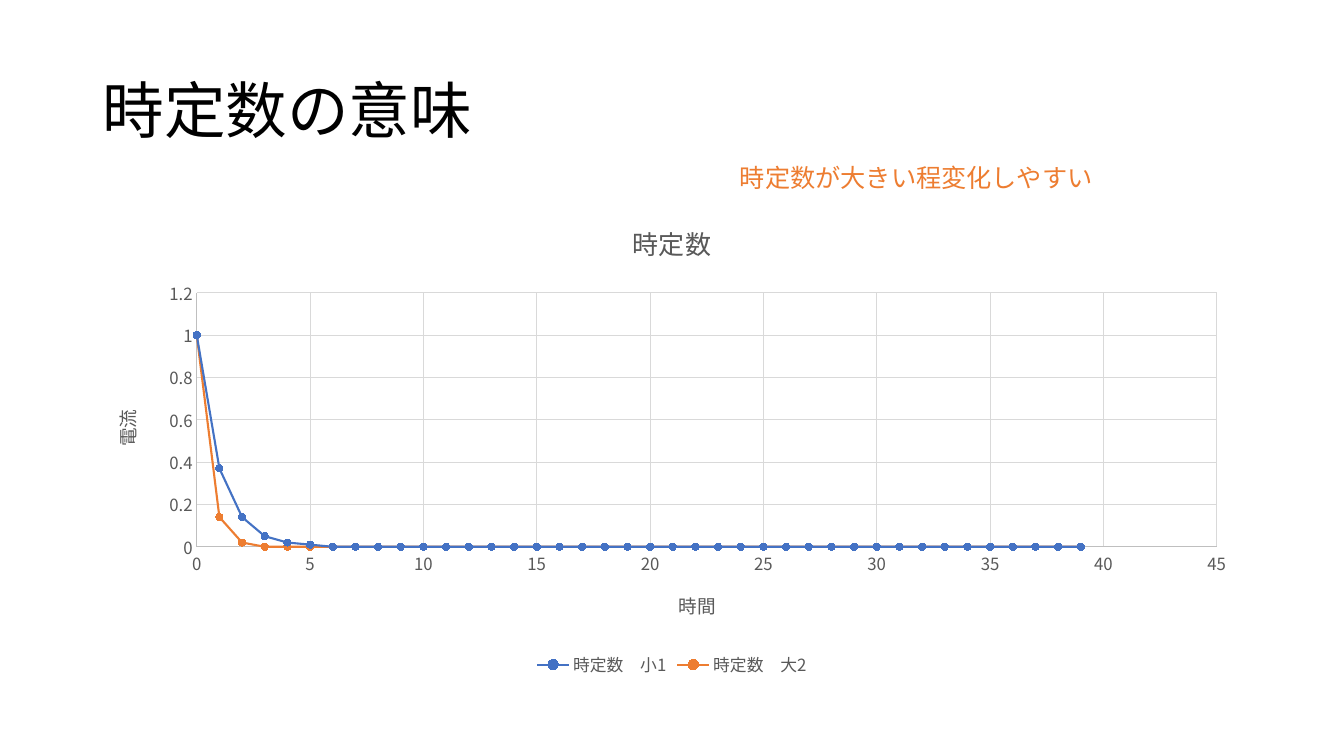
import math
from dataclasses import dataclass

from lxml import etree
from pptx import Presentation
from pptx import util as u
from pptx.chart import data as chart_data
from pptx.dml import color
from pptx.enum import chart as charts
from pptx.enum import text
from pptx.oxml import ns


@dataclass(frozen=True)
class Theme:
    font: str = "Noto Sans CJK JP"
    ink: str = "000000"
    muted: str = "595959"
    axis: str = "BFBFBF"
    grid: str = "D9D9D9"
    blue: str = "4472C4"
    orange: str = "ED7D31"
    title: float = 44
    note: float = 18
    chart_title: float = 18.6
    axis_title: float = 13.3
    label: float = 12


class SlideBuilder:
    COLUMNS, ROWS = 160, 90

    def __init__(self, deck, theme):
        self.theme = theme
        self.deck = deck
        self.page = deck.slides.add_slide(deck.slide_layouts[5])

    def area(self, column, row, columns, rows):
        across = self.deck.slide_width / self.COLUMNS
        down = self.deck.slide_height / self.ROWS
        return [u.Emu(round(n * step)) for n, step in
                zip((column, row, columns, rows), (across, down, across, down))]

    def style(self, font, size, rgb):
        font.size = u.Pt(size)
        font.bold = False
        font.color.rgb = color.RGBColor.from_string(rgb)
        font.name = self.theme.font
        latin = font._element.find(ns.qn("a:latin"))
        east_asian = etree.Element(ns.qn("a:ea"), typeface=self.theme.font)
        latin.addnext(east_asian)

    def stroke(self, line, rgb, width):
        line.color.rgb = color.RGBColor.from_string(rgb)
        line.width = u.Pt(width)

    def title(self, words, *cells):
        box = self.page.shapes.title
        box.left, box.top, box.width, box.height = self.area(*cells)
        frame = box.text_frame
        frame.text = words
        frame.vertical_anchor = text.MSO_ANCHOR.MIDDLE
        para = frame.paragraphs[0]
        para.alignment = text.PP_ALIGN.LEFT
        para.line_spacing = 0.9
        self.style(para.runs[0].font, self.theme.title, self.theme.ink)

    def note(self, words, *cells):
        frame = self.page.shapes.add_textbox(*self.area(*cells)).text_frame
        frame.text = words
        frame.word_wrap = False
        frame.auto_size = text.MSO_AUTO_SIZE.SHAPE_TO_FIT_TEXT
        self.style(frame.paragraphs[0].runs[0].font, self.theme.note, self.theme.orange)

    def caption(self, owner, words, size):
        frame = owner.text_frame
        frame.text = words
        self.style(frame.paragraphs[0].runs[0].font, size, self.theme.muted)
        return frame

    def axis(self, axis, words, maximum, step):
        axis.minimum_scale = 0
        axis.maximum_scale = maximum
        axis.major_unit = step
        axis.major_tick_mark = axis.minor_tick_mark = charts.XL_TICK_MARK.NONE
        axis.has_major_gridlines = True
        self.stroke(axis.major_gridlines.format.line, self.theme.grid, 0.75)
        self.stroke(axis.format.line, self.theme.axis, 0.75)
        axis.tick_labels.number_format = "General"
        axis.tick_labels.number_format_is_linked = False
        self.style(axis.tick_labels.font, self.theme.label, self.theme.muted)
        return self.caption(axis.axis_title, words, self.theme.axis_title)

    def plot_layout(self, chart, **shares):
        plot_area = chart._chartSpace.find(".//" + ns.qn("c:plotArea"))
        layout = plot_area.find(ns.qn("c:layout"))
        if layout is None:
            layout = etree.Element(ns.qn("c:layout"))
            plot_area.insert(0, layout)
        manual = etree.SubElement(layout, ns.qn("c:manualLayout"))
        settings = dict(layoutTarget="inner", xMode="edge", yMode="edge", **shares)
        for name, value in settings.items():
            etree.SubElement(manual, ns.qn("c:" + name), val=str(value))

    def scatter(self, heading, x_words, y_words, curves, times, *cells):
        data = chart_data.XyChartData()
        for name, rate, _ in curves:
            points = data.add_series(name)
            for time in times:
                points.add_data_point(time, round(math.exp(-rate * time), 2))
        chart = self.page.shapes.add_chart(
            charts.XL_CHART_TYPE.XY_SCATTER_SMOOTH, *self.area(*cells), data).chart
        self.style(chart.font, self.theme.label, self.theme.muted)
        chart.has_title = True
        self.caption(chart.chart_title, heading, self.theme.chart_title)
        chart.has_legend = True
        chart.legend.position = charts.XL_LEGEND_POSITION.BOTTOM
        chart.legend.include_in_layout = False
        self.style(chart.legend.font, self.theme.label, self.theme.muted)
        self.axis(chart.category_axis, x_words, 45, 5)
        frame = self.axis(chart.value_axis, y_words, 1.2, 0.2)
        body = frame._txBody.find(ns.qn("a:bodyPr"))
        body.set("rot", "-5400000")
        body.set("vert", "horz")
        self.plot_layout(chart, x=0.09, y=0.19, w=0.88, h=0.53)
        chart.plots[0].vary_by_categories = False
        for series, (_, _, rgb) in zip(chart.plots[0].series, curves):
            series.smooth = True
            self.stroke(series.format.line, rgb, 1.5)
            series.marker.style = charts.XL_MARKER_STYLE.CIRCLE
            series.marker.size = 5
            series.marker.format.fill.solid()
            series.marker.format.fill.fore_color.rgb = color.RGBColor.from_string(rgb)
            self.stroke(series.marker.format.line, rgb, 0.75)


def main():
    deck = Presentation()
    deck.slide_width, deck.slide_height = u.Inches(13.33), u.Inches(7.5)
    theme = Theme()
    slide = SlideBuilder(deck, theme)
    slide.title("時定数の意味", 11, 4.8, 138, 17.4)
    curves = [("時定数　小1", 1, theme.blue), ("時定数　大2", 2, theme.orange)]
    slide.scatter("時定数", "時間", "電流", curves, range(40), 11, 24, 138, 57.1)
    slide.note("時定数が大きい程変化しやすい", 86.9, 18.7, 44.9, 4.8)
    deck.save("out.pptx")


if __name__ == "__main__":
    main()
